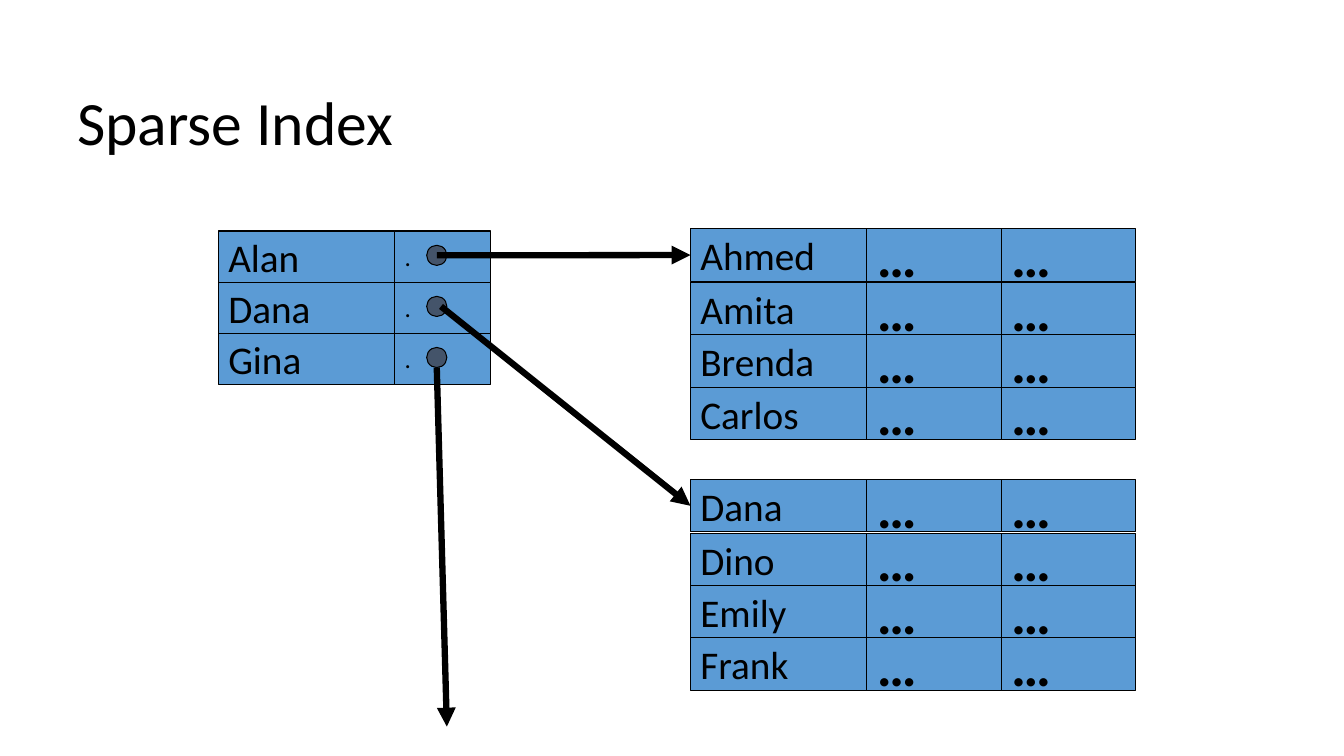
from dataclasses import dataclass

from lxml.etree import SubElement
from pptx import Presentation
from pptx.dml.color import RGBColor
from pptx.enum.shapes import MSO_CONNECTOR as Connector, MSO_SHAPE as Shape
from pptx.enum.text import MSO_ANCHOR as Anchor, PP_ALIGN as Align
from pptx.oxml.ns import qn
from pptx.util import Inches, Pt

COLUMNS, ROWS = 160, 90


@dataclass(frozen=True)
class Theme:
    font: str = "Calibri"
    ink: str = "000000"
    cell: str = "5B9BD5"
    dot: str = "44546A"
    title_size: float = 44
    name_size: float = 28
    ellipsis_size: float = 40
    mark_size: float = 18
    border: float = 0.75
    arrow: float = 4.5


class SlideBuilder:
    """Draws styled elements, placed in columns and rows of the slide grid."""

    def __init__(self, presentation, theme):
        self.theme = theme
        self.slide = presentation.slides.add_slide(presentation.slide_layouts[6])
        self.column = presentation.slide_width / COLUMNS
        self.row = presentation.slide_height / ROWS

    def place(self, *lengths):
        """Turn alternating columns and rows into slide lengths."""
        units = (self.column, self.row) * 2
        return [round(length * unit) for length, unit in zip(lengths, units)]

    def add_text(self, shape, text, size, bold=False):
        frame = shape.text_frame
        frame.word_wrap = True
        frame.vertical_anchor = Anchor.MIDDLE
        paragraph = frame.paragraphs[0]
        paragraph.alignment = Align.LEFT
        run = paragraph.add_run()
        run.text = text
        run.font.name = self.theme.font
        run.font.size = Pt(size)
        run.font.bold = bold
        run.font.color.rgb = RGBColor.from_string(self.theme.ink)
        return paragraph

    def title(self, text, *box):
        shape = self.slide.shapes.add_textbox(*self.place(*box))
        self.add_text(shape, text, self.theme.title_size).line_spacing = 0.9

    def outlined(self, kind, fill, *box):
        shape = self.slide.shapes.add_shape(kind, *self.place(*box))
        shape.shadow.inherit = False
        shape.fill.solid()
        shape.fill.fore_color.rgb = RGBColor.from_string(fill)
        shape.line.color.rgb = RGBColor.from_string(self.theme.ink)
        shape.line.width = Pt(self.theme.border)
        return shape

    def cell(self, text, size, *box, bold=False):
        shape = self.outlined(Shape.RECTANGLE, self.theme.cell, *box)
        self.add_text(shape, text, size, bold)
        return shape

    def dot(self, *box):
        return self.outlined(Shape.OVAL, self.theme.dot, *box)

    def arrow(self, start, end, target=None):
        """Draw an arrow; a target rectangle is joined at its left side."""
        connector = self.slide.shapes.add_connector(
            Connector.STRAIGHT, *self.place(*start, *end))
        if target is not None:
            connector.end_connect(target, 1)
        connector.line.color.rgb = RGBColor.from_string(self.theme.ink)
        connector.line.width = Pt(self.theme.arrow)
        properties = connector._element.spPr
        SubElement(properties.get_or_add_ln(), qn("a:tailEnd"), type="triangle")
        SubElement(properties, qn("a:effectLst"))


NAME_WIDTH = 21

# Data blocks: a name and two elided fields in each record
BLOCK_LEFT, FIELD_WIDTH, RECORD_HEIGHT, FIRST_GAP = 82.2, 16, 6.23, 0.15
BLOCKS = [
    (27.25, ["Ahmed", "Amita", "Brenda", "Carlos"]),
    (57.1, ["Dana", "Dino", "Emily", "Frank"]),
]

# Sparse index: a name and a pointer for each entry
INDEX_LEFT, INDEX_TOP, POINTER_WIDTH, ENTRY_HEIGHT = 26, 27.5, 11.4, 6.08
INDEX_NAMES = ["Alan", "Dana", "Gina"]
DOT_SIZE, DOT_INDENT, DOT_DROP = 2.4, 3.8, 1.7


def draw_block(builder, top, names):
    """Draw one block and return its first name cell."""
    theme, name_cells = builder.theme, []
    for number, name in enumerate(names):
        y = top + number * RECORD_HEIGHT + (FIRST_GAP if number else 0)
        name_cells.append(builder.cell(
            name, theme.name_size, BLOCK_LEFT, y, NAME_WIDTH, RECORD_HEIGHT))
        for field in range(2):
            x = BLOCK_LEFT + NAME_WIDTH + field * FIELD_WIDTH
            builder.cell("…", theme.ellipsis_size, x, y,
                         FIELD_WIDTH, RECORD_HEIGHT, bold=True)
    return name_cells[0]


def draw_index(builder):
    """Draw the index and return the centre of each pointer dot."""
    theme, centres = builder.theme, []
    pointer_left = INDEX_LEFT + NAME_WIDTH
    dot_left = pointer_left + DOT_INDENT
    for number, name in enumerate(INDEX_NAMES):
        y = INDEX_TOP + number * ENTRY_HEIGHT
        builder.cell(name, theme.name_size, INDEX_LEFT, y, NAME_WIDTH, ENTRY_HEIGHT)
        builder.cell(".", theme.mark_size, pointer_left, y, POINTER_WIDTH, ENTRY_HEIGHT)
        builder.dot(dot_left, y + DOT_DROP, DOT_SIZE, DOT_SIZE)
        centres.append((dot_left + DOT_SIZE / 2, y + DOT_DROP + DOT_SIZE / 2))
    return centres


def main():
    presentation = Presentation()
    presentation.slide_width, presentation.slide_height = Inches(13.33), Inches(7.5)
    builder = SlideBuilder(presentation, Theme())

    builder.title("Sparse Index", 8, 6, 144, 18)
    first_records = [draw_block(builder, top, names) for top, names in BLOCKS]
    alan, dana, gina = draw_index(builder)

    # Pointers to the two blocks, and one that runs on below
    builder.arrow(alan, alan, first_records[0])
    builder.arrow((gina[0], gina[1] + DOT_SIZE / 2), (53.2, 86.5))
    builder.arrow((dana[0] + 0.5, dana[1]), dana, first_records[1])

    presentation.save("out.pptx")


if __name__ == "__main__":
    main()
